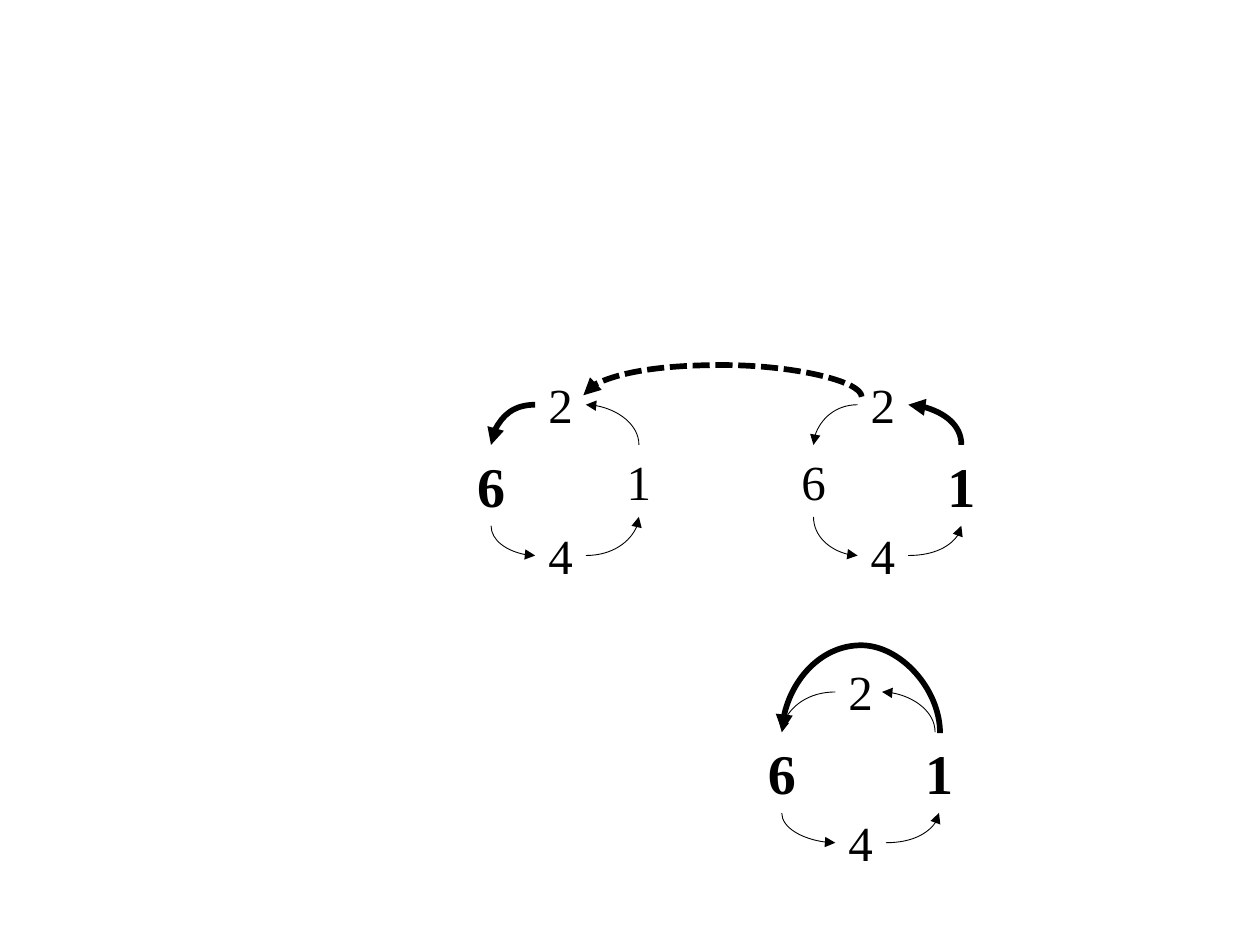
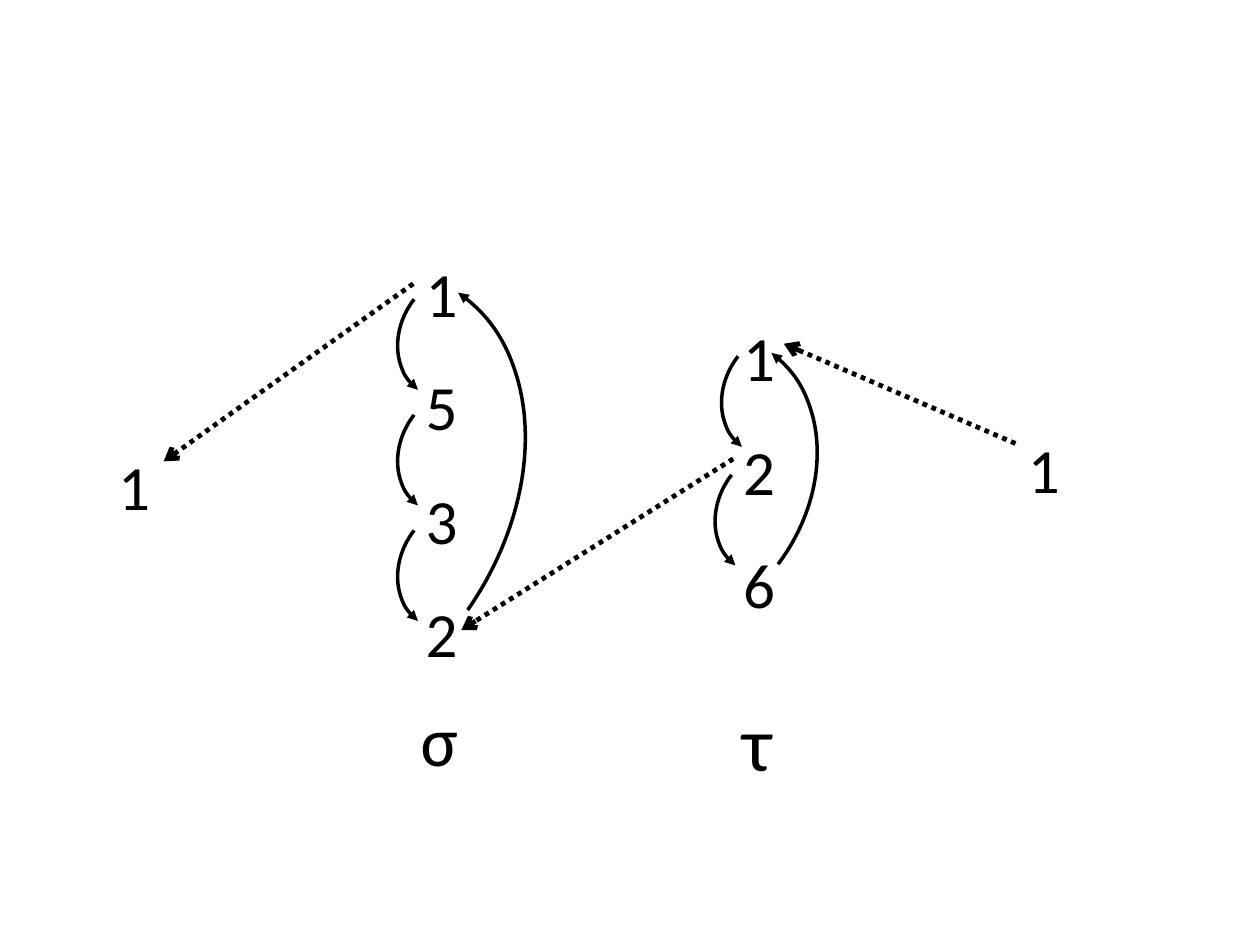
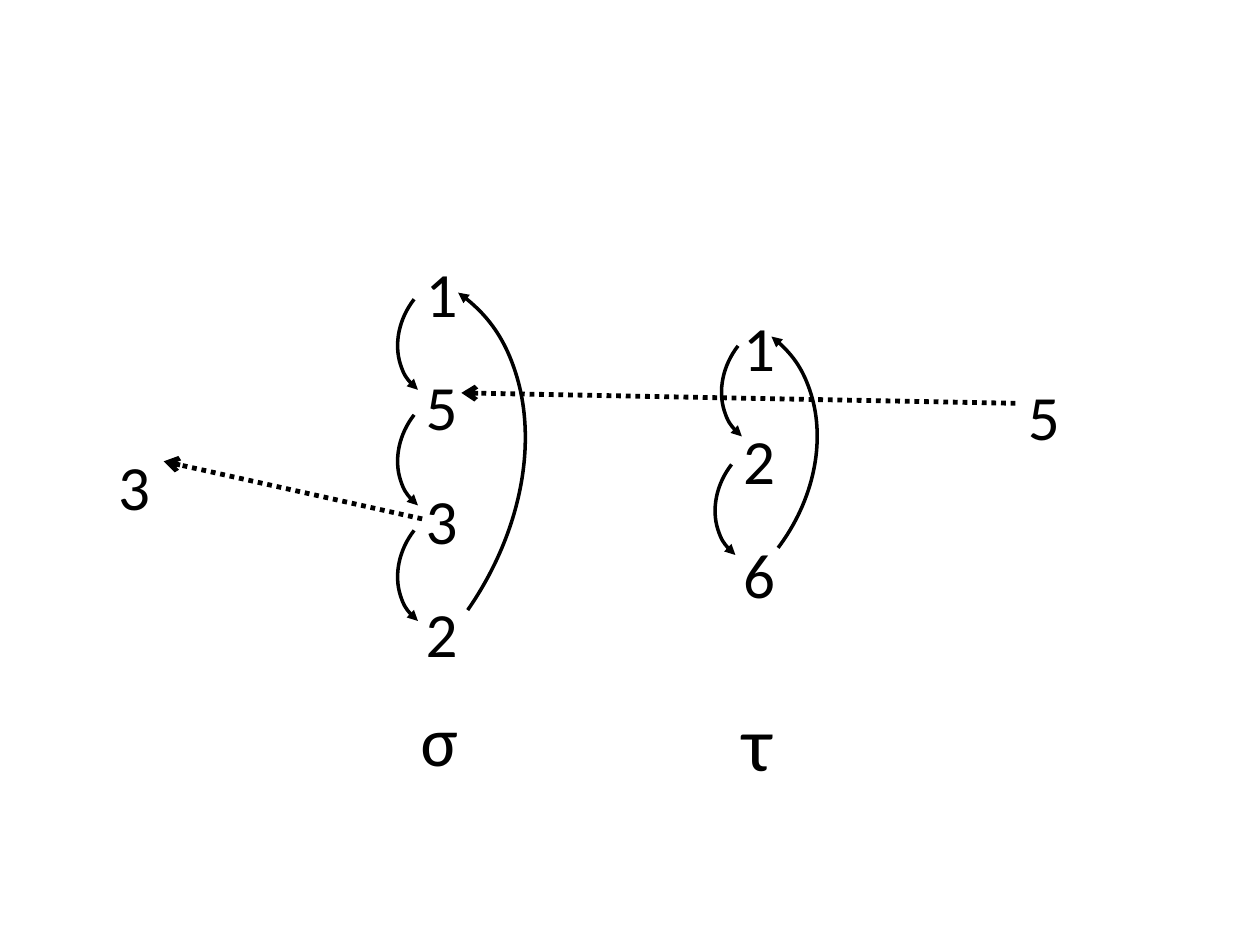
import pptx
import pptx.util
import pptx.dml.color
import pptx.enum.dml
import pptx.enum.shapes
import pptx.enum.text
import pptx.oxml.ns
from lxml import etree

Cm, Pt, qn = pptx.util.Cm, pptx.util.Pt, pptx.oxml.ns.qn
CONNECTOR = pptx.enum.shapes.MSO_CONNECTOR
DASH = pptx.enum.dml.MSO_LINE
ALIGN = pptx.enum.text.PP_ALIGN

INK = "000000"
RING_FONT, CYCLE_FONT = "Times New Roman", "Calibri"
THIN, THICK, ARC, DOTTED = 0.5, 3.25, 2, 2.75


def rgb(hex_color):
    return pptx.dml.color.RGBColor.from_string(hex_color)


def add_text(s, box, lines, font, size, bold=False, align=None, spacing=None):
    tb = s.shapes.add_textbox(*map(Cm, box))
    tf = tb.text_frame
    tf.word_wrap = False
    tf.auto_size = pptx.enum.text.MSO_AUTO_SIZE.SHAPE_TO_FIT_TEXT
    tf.text = "\n".join(lines)
    for p in tf.paragraphs:
        p.alignment, p.line_spacing = align, spacing
        f = p.runs[0].font
        f.name, f.size, f.bold = font, Pt(size), bold
        f.color.rgb = rgb(INK)


def style_line(shape, width, end, head, dash=None):
    """Ink the line and put an arrowhead of the given type at headEnd or tailEnd."""
    shape.line.color.rgb = rgb(INK)
    shape.line.width = Pt(width)
    if dash:
        shape.line.dash_style = dash
    etree.SubElement(shape.line._get_or_add_ln(), qn("a:" + end), type=head)


def add_arrow(s, start, end, kind, width, head, dash=None):
    c = s.shapes.add_connector(kind, *map(Cm, start + end))
    style_line(c, width, "tailEnd", head, dash)
    etree.SubElement(c._element.spPr, qn("a:effectLst"))
    return c


def stand_up(c, start, end):
    """Turn a curved connector so that it leaves its start vertically."""
    dx, dy = end[0] - start[0], end[1] - start[1]
    w, h = abs(dy), abs(dx)
    c.left = Cm((start[0] + end[0] - w) / 2)
    c.top = Cm((start[1] + end[1] - h) / 2)
    c.width, c.height = Cm(w), Cm(h)
    xfrm = c._element.spPr.find(qn("a:xfrm"))
    xfrm.set("rot", str(270 * 60000))
    xfrm.set("flipH", str(int(dy > 0)))
    xfrm.set("flipV", str(int(dx < 0)))


def quarter_arrow(s, start, end, vertical=False, width=THIN):
    c = add_arrow(s, start, end, CONNECTOR.CURVE, width, "triangle")
    c._element.spPr.find(qn("a:prstGeom")).set("prst", "curvedConnector2")
    if vertical:
        stand_up(c, start, end)


def bridge_arrow(s, start, end, rise, dash=None):
    """Arch over from start to end, climbing rise above the start."""
    c = add_arrow(s, start, end, CONNECTOR.CURVE, THICK, "triangle", dash)
    stand_up(c, start, end)
    adj = round(rise / abs(end[1] - start[1]) * 100000)
    guides = c._element.spPr.find(qn("a:prstGeom")).find(qn("a:avLst"))
    etree.SubElement(guides, qn("a:gd"), name="adj1", fmla=f"val {adj}")


def ring(s, cx, top, bold, thick="", left=1.4, inset=0):
    """Draw the ring 2-6-4-1 around cx; thick names the digit whose arrow is heavy."""
    half, mid, side, bottom, right = 0.51, 0.74, 1.55, 3.78, 1.58
    spots = {"2": (0, 0), "1": (right, side), "4": (0, 3.05), "6": (-left, side)}
    height = {d: 1.63 if d in bold else 1.45 for d in spots}
    for digit, (dx, dy) in spots.items():
        w = 1.09 if digit in bold else 2 * half
        add_text(s, (cx + dx - w / 2, top + dy, w, height[digit]), digit, RING_FONT,
                 32 if digit in bold else 28, digit in bold, ALIGN.CENTER)
    arrows = {
        "1": ((right - inset, side), (half - inset, mid), True),
        "2": ((-half, mid), (-left, side), False),
        "6": ((-left, side + height["6"]), (-half, bottom), True),
        "4": ((half, bottom), (right, side + height["1"]), False),
    }
    for digit, (start, end, vertical) in arrows.items():
        quarter_arrow(s, (cx + start[0], top + start[1]), (cx + end[0], top + end[1]),
                      vertical, THICK if digit in thick else THIN)


def add_arc(s, box, rotation):
    sp = s.shapes.add_shape(pptx.enum.shapes.MSO_SHAPE.ARC, *map(Cm, box))
    sp.shadow.inherit = False
    sp.fill.background()
    sp.rotation = rotation
    style_line(sp, ARC, "headEnd", "triangle")


def cycle(s, x, y, digits, first, step, back, turn):
    """Stack digits at x, y; arcs join neighbours and one arc leads back to the top."""
    add_text(s, (x, y, 1.17, 2.31 * len(digits) + 0.25), digits, CYCLE_FONT, 36, spacing=1.5)
    for i in range(len(digits) - 1):
        add_arc(s, (x + first[0] + i * step[0], y + first[1] + i * step[1], 2.36, 2.79), 217.8)
    add_arc(s, (x + back[0], y + back[1], *back[2:]), turn)


def ring_slide(s):
    ring(s, 11.3, 7.42, bold="6", thick="2")
    ring(s, 17.8, 7.42, bold="1", thick="1")
    bridge_arrow(s, (17.37, 8), (11.76, 7.97), 0.64, DASH.SQUARE_DOT)
    ring(s, 17.35, 13.21, bold="16", left=1.59, inset=0.08)
    bridge_arrow(s, (18.95, 14.78), (15.77, 14.75), 1.77)


def composition_slide(s, source, source_y, result, tau_y, tau_back_y, route):
    """Show how source passes through τ, then σ, and becomes result."""
    cycle(s, 8.33, 4.24, "1532", (-0.23, 1.12), (0, 2.33), (-5.84, 0.74, 7.62, 10.29), 34.8)
    cycle(s, 14.73, tau_y, "126", (-0.1, 0.97), (-0.13, 2.39),
          (-3.84, tau_back_y, 5.33, 6.65), 36.9)
    for box, text, size in (
        ((20.47, source_y, 1.17, 2.34), source, 36),
        ((2.13, 8.13, 1.17, 2.34), result, 36),
        ((14.71, 12.95, 1.19, 2.77), "τ", 44),
        ((8.23, 13.08, 1.37, 2.54), "σ", 40),
    ):
        add_text(s, box, text, CYCLE_FONT, size, spacing=1.5)
    for start, end in route:
        add_arrow(s, start, end, CONNECTOR.STRAIGHT, DOTTED, "arrow", DASH.ROUND_DOT)


def main():
    prs = pptx.Presentation()
    prs.slide_width, prs.slide_height = Cm(25.4), Cm(19.05)
    blank = prs.slide_layouts[6]
    ring_slide(prs.slides.add_slide(blank))
    composition_slide(
        prs.slides.add_slide(blank), "1", 7.8, "1", 5.54, 0.91,
        [((20.47, 8.94), (15.8, 6.93)), ((14.78, 9.25), (9.3, 12.7)), ((8.33, 5.72), (3.3, 9.3))])
    composition_slide(
        prs.slides.add_slide(blank), "5", 6.73, "3", 5.33, 0.79,
        [((20.47, 8.13), (9.3, 7.92)), ((8.51, 10.46), (3.3, 9.3))])
    prs.save("out.pptx")


if __name__ == "__main__":
    main()
